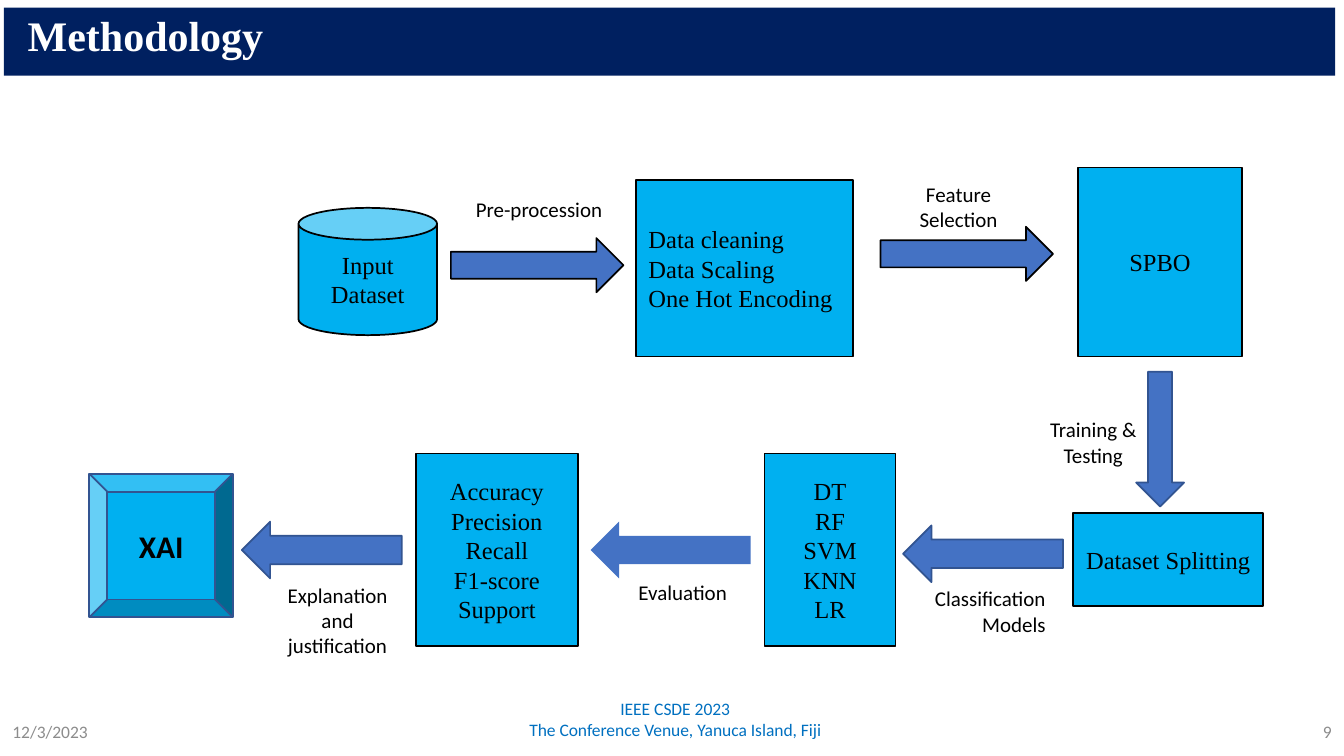
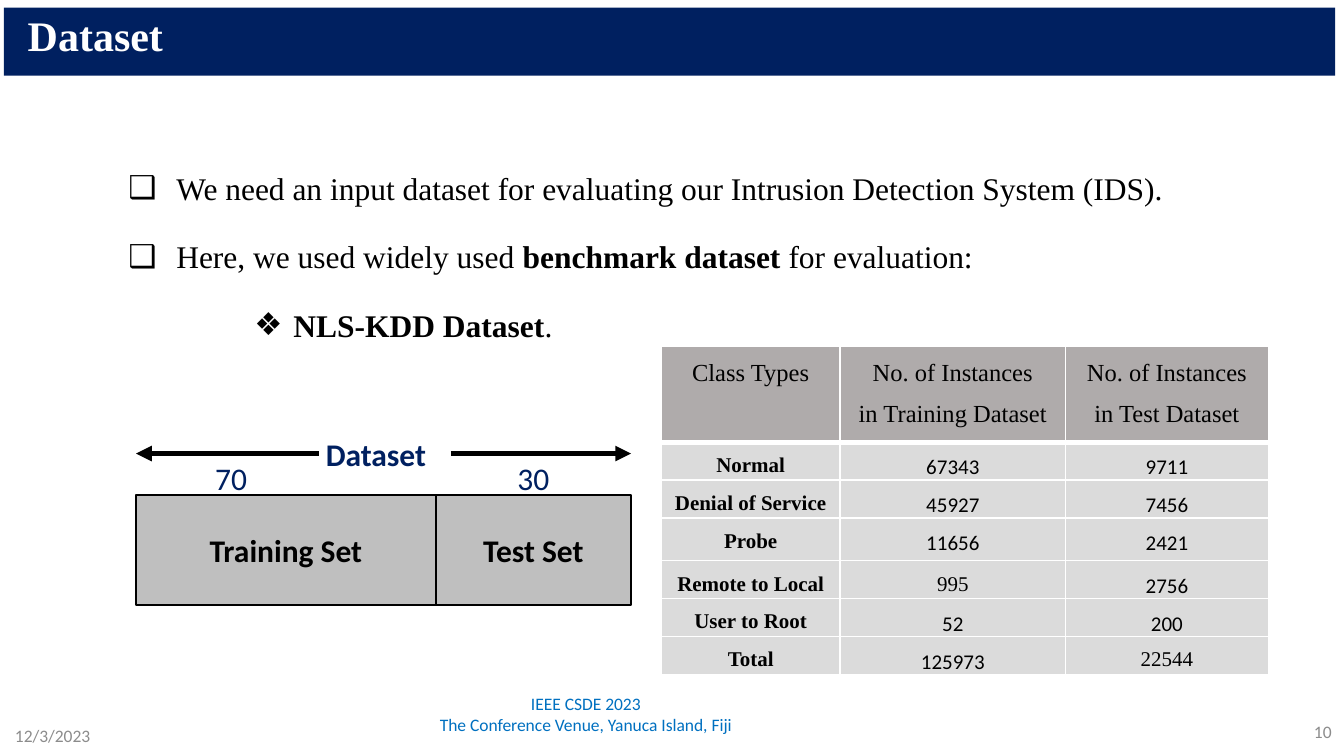
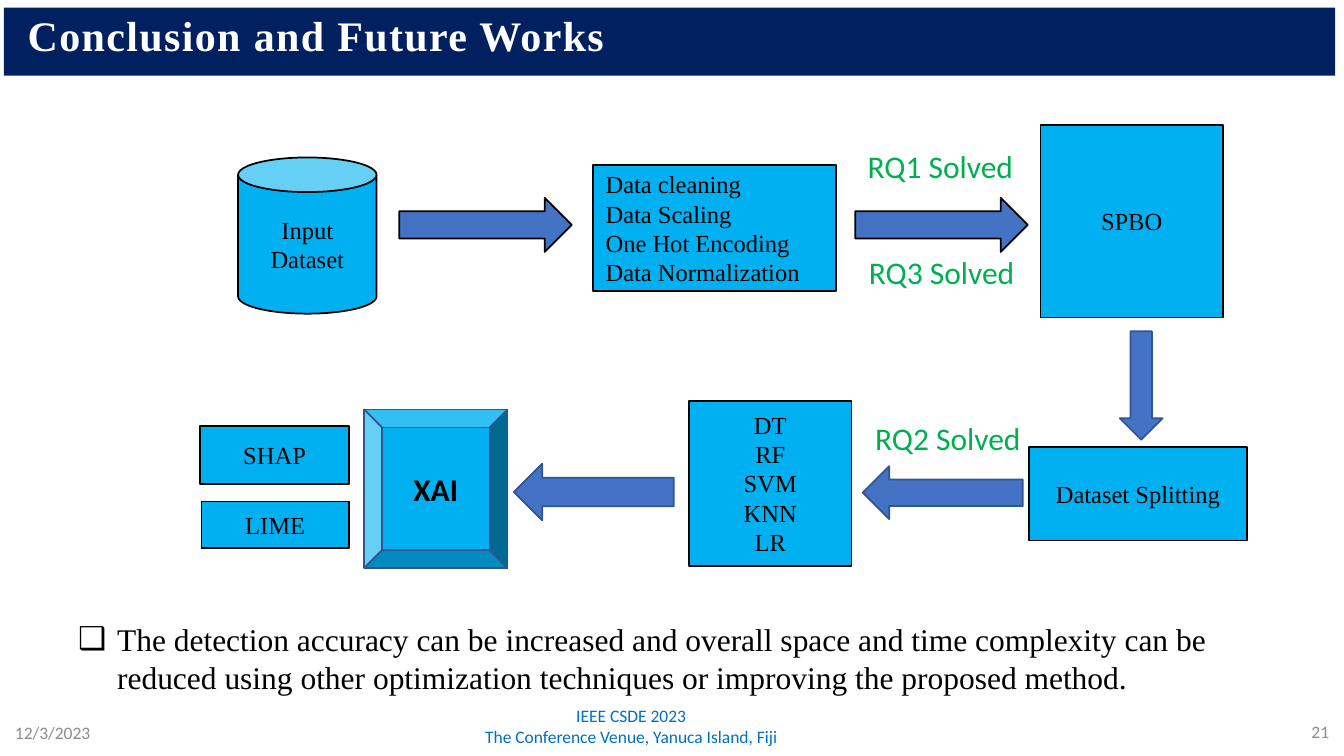
import collections

import lxml.etree
import pptx
import pptx.dml.color
import pptx.enum.shapes
import pptx.enum.text
import pptx.oxml.ns
import pptx.util

PX = 9144  # EMU in one px, 100 px to the inch
SERIF, SANS = "Times New Roman", "Calibri"
COLORS = {
    "navy": "002060", "sky": "00B0F0", "arrow": "4472C4", "outline": "325491",
    "black": "000000", "white": "FFFFFF", "green": "00B050", "venue": "0070C0",
    "muted": "8C8C8C", "bar": "BFBFBF", "head": "AFABAB", "row": "DBDBDB",
}
SHAPE = pptx.enum.shapes.MSO_SHAPE
ALIGN = pptx.enum.text.PP_ALIGN
ANCHOR = pptx.enum.text.MSO_ANCHOR
Box = collections.namedtuple("Box", "left top width height")

MODELS = ["DT", "RF", "SVM", "KNN", "LR"]
CLEANING = ["Data cleaning", "Data Scaling", "One Hot Encoding"]
METRICS = ["Accuracy", "Precision", "Recall", "F1-score", "Support"]
VENUE = ["IEEE CSDE 2023", "The Conference Venue, Yanuca Island, Fiji"]

METHOD_STEPS = [
    (SHAPE.CAN, (166, 32, 110, 101), ["Input", "Dataset"]),
    (SHAPE.RECTANGLE, (434, 10, 172, 140), CLEANING),
    (SHAPE.RECTANGLE, (785, 0, 130, 150), ["SPBO"]),
    (SHAPE.RECTANGLE, (781, 274, 151, 74), ["Dataset Splitting"]),
    (SHAPE.RECTANGLE, (536, 227, 104, 153), MODELS),
    (SHAPE.RECTANGLE, (259, 227, 129, 153), METRICS),
    (SHAPE.BEVEL, (0, 243, 114, 114), ["XAI"]),
]
METHOD_ARROWS = [
    (SHAPE.RIGHT_ARROW, (287, 56, 137, 43), "black"),
    (SHAPE.RIGHT_ARROW, (628, 47, 137, 43), "black"),
    (SHAPE.DOWN_ARROW, (831, 162, 38, 107), "outline"),
    (SHAPE.LEFT_ARROW, (646, 284, 127, 45), "outline"),
    (SHAPE.LEFT_ARROW, (398, 281, 127, 45), None),
    (SHAPE.LEFT_ARROW, (121, 281, 127, 45), "outline"),
]
METHOD_LABELS = [
    (295, 18, ["Pre-procession"], ALIGN.CENTER),
    (628, 16, ["Feature Selection"], ALIGN.CENTER),
    (735, 203, ["Training &", "Testing"], ALIGN.CENTER),
    (645, 337, ["Classification", "Models"], ALIGN.RIGHT),
    (409, 322, ["Evaluation"], ALIGN.CENTER),
    (135, 344, ["Explanation and justification"], ALIGN.CENTER),
]
CONCLUSION_STEPS = [
    (SHAPE.CAN, (30, 26, 110, 124), ["Input", "Dataset"]),
    (SHAPE.RECTANGLE, (312, 32, 193, 100), CLEANING + ["Data Normalization"]),
    (SHAPE.RECTANGLE, (667, 0, 145, 153), ["SPBO"]),
    (SHAPE.RECTANGLE, (658, 256, 173, 74), ["Dataset Splitting"]),
    (SHAPE.RECTANGLE, (388, 219, 129, 131), MODELS),
    (SHAPE.BEVEL, (130, 226, 114, 126), ["XAI"]),
    (SHAPE.RECTANGLE, (0, 239, 118, 46), ["SHAP"]),
    (SHAPE.RECTANGLE, (1, 299, 117, 37), ["LIME"]),
]
CONCLUSION_ARROWS = [
    (SHAPE.RIGHT_ARROW, (158, 58, 137, 43), "black"),
    (SHAPE.RIGHT_ARROW, (520, 58, 137, 43), "black"),
    (SHAPE.DOWN_ARROW, (730, 164, 34, 86), "outline"),
    (SHAPE.LEFT_ARROW, (526, 271, 127, 42), "outline"),
    (SHAPE.LEFT_ARROW, (249, 269, 127, 45), "outline"),
]
SOLVED = [(520, 13, "RQ1 Solved"), (526, 229, "RQ2 Solved"), (521, 97, "RQ3 Solved")]

CLASS_HEAD = [["Class Types"], ["No. of Instances", "in Training Dataset"],
              ["No. of Instances", "in Test Dataset"]]
CLASS_ROWS = [
    ("Normal", "67343", "9711"),
    ("Denial of Service", "45927", "7456"),
    ("Probe", "11656", "2421"),
    ("Remote to Local", "995", "2756"),
    ("User to Root", "52", "200"),
    ("Total", "125973", "22544"),
]
SERIF_COUNTS = {"995", "22544"}


def rgb(name):
    return pptx.dml.color.RGBColor.from_string(COLORS[name])


def emu(box):
    return [round(length * PX) for length in box]


def inside(box, left, top, width, height):
    """Turn a place relative to a box into a place on the slide."""
    return Box(box.left + left, box.top + top, width, height)


def add_xml(parent, tag, **attributes):
    return lxml.etree.SubElement(parent, pptx.oxml.ns.qn(tag), **attributes)


def add_span(para, text, size, font=SANS, color="black", bold=False):
    span = para.add_run()
    span.text = text
    span.font.size = pptx.util.Pt(size)
    span.font.name = font
    span.font.bold = bold
    span.font.color.rgb = rgb(color)
    return span


def write(frame, lines, size, align=ALIGN.CENTER, **style):
    """Fill a text frame with one paragraph for each line."""
    for index, line in enumerate(lines):
        para = frame.add_paragraph() if index else frame.paragraphs[0]
        para.alignment = align
        add_span(para, line, size, **style)


def add_text(slide, box, lines, size, anchor=ANCHOR.TOP, **style):
    frame = slide.shapes.add_textbox(*emu(box)).text_frame
    frame.word_wrap = True
    frame.vertical_anchor = anchor
    write(frame, lines, size, **style)


def add_block(slide, kind, box, fill, line):
    block = slide.shapes.add_shape(kind, *emu(box))
    block.shadow.inherit = False
    block.fill.solid()
    block.fill.fore_color.rgb = rgb(fill)
    if line:
        block.line.color.rgb = rgb(line)
        block.line.width = pptx.util.Pt(1)
    else:
        block.line.fill.background()
    block.text_frame.vertical_anchor = ANCHOR.MIDDLE
    return block


def add_title(slide, text, spacing):
    """Make the title placeholder the navy band at the top."""
    title = slide.shapes.title
    title.left, title.top, title.width, title.height = emu((3, 6, 1057, 54))
    title.fill.solid()
    title.fill.fore_color.rgb = rgb("navy")
    frame = title.text_frame
    frame.auto_size = pptx.enum.text.MSO_AUTO_SIZE.NONE
    frame.vertical_anchor = ANCHOR.TOP
    frame.margin_left, frame.margin_top = 19 * PX, 4 * PX
    frame.margin_right = frame.margin_bottom = 0
    para = frame.paragraphs[0]
    para.alignment = ALIGN.LEFT
    para.line_spacing = pptx.util.Pt(27)
    span = add_span(para, text, 24, SERIF, "white", True)
    span.font._element.set("spc", str(spacing))


def add_footer(slide, number, date_at, number_at, venue_at):
    for place, width, lines, align, color in (
        (date_at, 188, ["12/3/2023"], ALIGN.LEFT, "muted"),
        (number_at, 188, [number], ALIGN.RIGHT, "muted"),
        (venue_at, 282, VENUE, ALIGN.CENTER, "venue"),
    ):
        add_text(slide, Box(*place, width, 33), lines, 10, ANCHOR.MIDDLE,
                 align=align, color=color)


def add_list(slide, box, items):
    """Fill the body placeholder; an item is (bullet, margin, hang, spans)."""
    body = slide.placeholders[1]
    body.left, body.top, body.width, body.height = emu(box)
    frame = body.text_frame
    frame.auto_size = pptx.enum.text.MSO_AUTO_SIZE.NONE
    for index, (bullet, margin, hang, spans) in enumerate(items):
        para = frame.add_paragraph() if index else frame.paragraphs[0]
        properties = para._p.get_or_add_pPr()
        properties.set("marL", str(margin * PX))
        properties.set("indent", str(-hang * PX))
        add_xml(properties, "a:buChar", char=bullet)
        para.space_before = pptx.util.Pt(17.5 if index else 0)
        for text, bold in spans:
            add_span(para, text, 18, SERIF, bold=bold)


def add_flow(slide, box, steps, arrows):
    for kind, place, lines in steps:
        bevel = kind == SHAPE.BEVEL
        block = add_block(slide, kind, inside(box, *place), "sky",
                          "outline" if bevel else "black")
        align = ALIGN.LEFT if lines[0] == CLEANING[0] else ALIGN.CENTER
        write(block.text_frame, lines, 18 if bevel else 14, align,
              font=SANS if bevel else SERIF, bold=bevel)
    for kind, place, line in arrows:
        add_block(slide, kind, inside(box, *place), "arrow", line)


def add_arrow(slide, start, end, height):
    arrow = slide.shapes.add_connector(
        pptx.enum.shapes.MSO_CONNECTOR.STRAIGHT, *emu((start, height, end, height)))
    arrow.line.color.rgb = rgb("black")
    arrow.line.width = pptx.util.Pt(3)
    add_xml(arrow.line._get_or_add_ln(), "a:tailEnd", type="triangle")
    add_xml(arrow._element.spPr, "a:effectLst")


def add_split_bar(slide, box):
    """Draw the dataset as a bar cut into training and test parts."""
    cut = 238
    for left, width, name in ((0, cut, "Training Set"),
                              (cut, box.width - cut, "Test Set")):
        part = add_block(slide, SHAPE.RECTANGLE, inside(box, left, 53, width, 87),
                         "bar", "black")
        write(part.text_frame, [name], 18, bold=True)
    add_text(slide, inside(box, -6, 0, box.width, 40), ["Dataset"], 18,
             color="navy", bold=True)
    for left, share in ((53, "70"), (293, "30")):
        add_text(slide, inside(box, left, 19, 80, 40), [share], 18,
                 align=ALIGN.LEFT, color="navy")
    add_arrow(slide, box.left + 145, box.left, box.top + 20)
    add_arrow(slide, box.left + 250, box.left + box.width, box.top + 20)


def format_cell(cell, lines, size, fill, bottom, **style):
    cell.margin_left = cell.margin_right = 7 * PX
    cell.margin_top = cell.margin_bottom = 0
    properties = cell._tc.get_or_add_tcPr()
    for side, points in (("L", 1), ("R", 1), ("T", 1), ("B", bottom)):
        border = add_xml(properties, "a:ln" + side, w=str(pptx.util.Pt(points)))
        add_xml(add_xml(border, "a:solidFill"), "a:srgbClr", val=COLORS["white"])
    cell.fill.solid()
    cell.fill.fore_color.rgb = rgb(fill)
    write(cell.text_frame, lines, size, **style)
    for para in cell.text_frame.paragraphs:
        para.line_spacing = 1.5
        para.space_after = pptx.util.Pt(0.2)


def add_class_table(slide, box):
    table = slide.shapes.add_table(len(CLASS_ROWS) + 1, 3, *emu(box)).table
    table.first_row = table.horz_banding = False
    for column, width in zip(table.columns, (142, 179, 161)):
        column.width = width * PX
    for row, height in zip(table.rows, (76, 30, 30, 34, 30, 30, 30)):
        row.height = height * PX
    for column, lines in enumerate(CLASS_HEAD):
        format_cell(table.cell(0, column), lines, 14, "head", 3, font=SERIF)
    for row, values in enumerate(CLASS_ROWS, 1):
        for column, value in enumerate(values):
            serif = column == 0 or value in SERIF_COUNTS
            format_cell(table.cell(row, column), [value], 12, "row", 1,
                        font=SERIF if serif else SANS, bold=column == 0)


def methodology_slide(deck):
    slide = deck.slides.add_slide(deck.slide_layouts[5])
    add_title(slide, "Methodology", 0)
    flow = Box(71, 133, 932, 380)
    add_flow(slide, flow, METHOD_STEPS, METHOD_ARROWS)
    for left, top, lines, align in METHOD_LABELS:
        add_text(slide, inside(flow, left, top, 124, 30), lines, 12,
                 ANCHOR.MIDDLE, align=align)
    add_footer(slide, "9", (0, 564), (879, 564), (395, 554))


def dataset_slide(deck):
    slide = deck.slides.add_slide(deck.slide_layouts[1])
    add_title(slide, "Dataset", 0)
    add_list(slide, Box(92, 129, 858, 146), [
        ("❑", 38, 38, [("We need an input dataset for evaluating our Intrusion "
                        "Detection System (IDS).", False)]),
        ("❑", 38, 38, [("Here, we used widely used ", False),
                       ("benchmark dataset ", True), ("for evaluation:", False)]),
        ("❖", 131, 31, [("NLS-KDD Dataset", True), (".", False)]),
    ])
    add_split_bar(slide, Box(108, 340, 393, 140))
    add_class_table(slide, Box(525, 275, 482, 260))
    add_footer(slide, "10", (2, 567), (879, 564), (324, 550))


def conclusion_slide(deck):
    slide = deck.slides.add_slide(deck.slide_layouts[1])
    add_title(slide, "Conclusion and Future Works", 80)
    flow = Box(159, 99, 831, 352)
    add_flow(slide, flow, CONCLUSION_STEPS, CONCLUSION_ARROWS)
    for left, top, text in SOLVED:
        add_text(slide, inside(flow, left, top, 140, 40), [text], 18,
                 align=ALIGN.LEFT, color="green")
    add_list(slide, Box(52, 487, 938, 71), [
        ("❑", 31, 31, [("The detection accuracy can be increased and overall space "
                        "and time complexity can be reduced using other optimization "
                        "techniques or improving the proposed method.", False)]),
    ])
    add_footer(slide, "21", (2, 565), (877, 564), (360, 560))


def main():
    deck = pptx.Presentation()
    deck.slide_width, deck.slide_height = emu((1067, 600))
    methodology_slide(deck)
    dataset_slide(deck)
    conclusion_slide(deck)
    deck.save("out.pptx")


if __name__ == "__main__":
    main()
